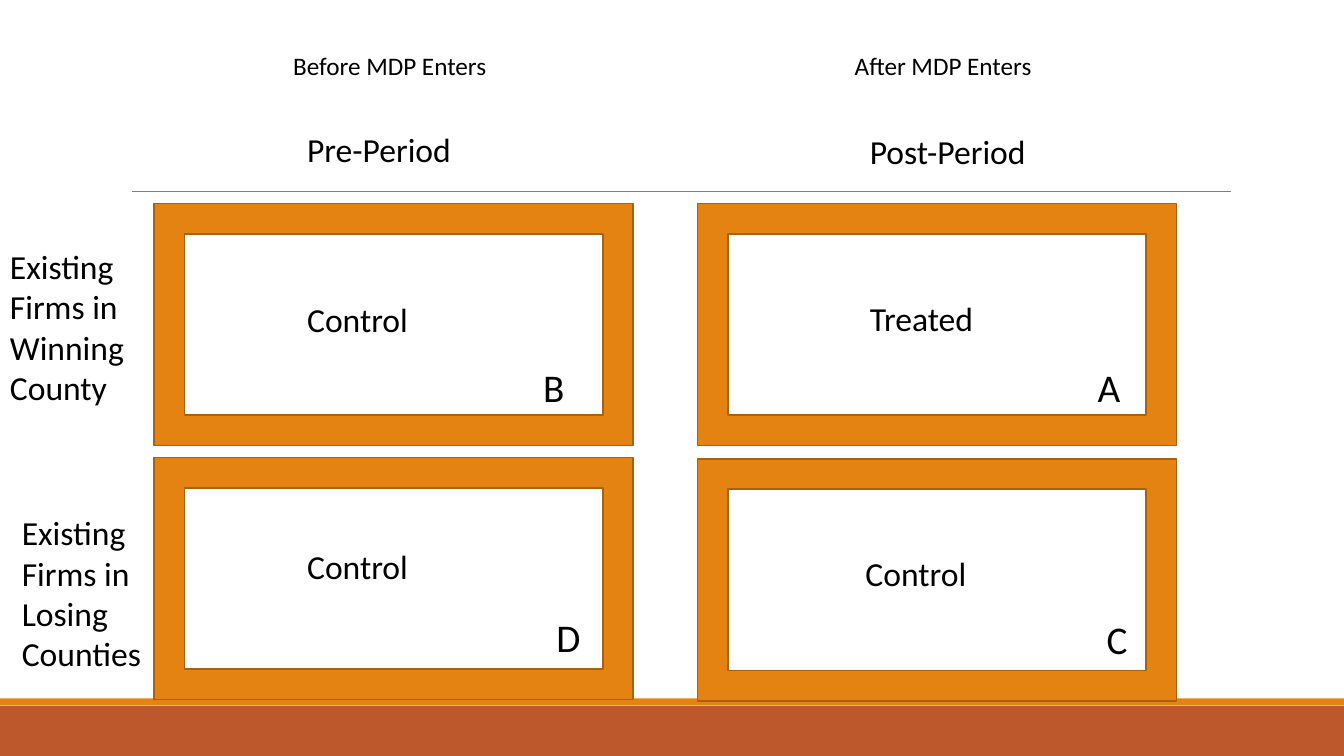
from typing import NamedTuple

from lxml import etree
from pptx import Presentation
from pptx.dml.color import RGBColor
from pptx.enum.shapes import MSO_CONNECTOR, MSO_SHAPE
from pptx.enum.text import MSO_ANCHOR, MSO_AUTO_SIZE
from pptx.oxml.ns import qn
from pptx.util import Cm, Pt

RECTANGLE = MSO_SHAPE.RECTANGLE
FRAME = MSO_SHAPE.FRAME
STRAIGHT = MSO_CONNECTOR.STRAIGHT
TOP = MSO_ANCHOR.TOP
FIT_SHAPE = MSO_AUTO_SIZE.SHAPE_TO_FIT_TEXT

FONT = "Calibri"
BLACK = "000000"
ORANGE = "E48312"
DARK_ORANGE = "A9610D"
RUST = "BD582C"
GRAY = "808080"

SLIDE_WIDTH, SLIDE_HEIGHT = 33.87, 19.05
FRAME_WIDTH, FRAME_HEIGHT = 12.07, 6.1


class Box(NamedTuple):
    """Left, top, width and height in centimetres."""
    left: float
    top: float
    width: float
    height: float


class Label(NamedTuple):
    text: str
    box: Box
    size: int = 24


FOOTER_BARS = [
    (Box(0, 17.78, SLIDE_WIDTH, 1.27), RUST),
    (Box(0, 17.6, SLIDE_WIDTH, 0.17), ORANGE),
]

FRAME_CORNERS = [(3.89, 5.13), (17.58, 5.13), (3.89, 11.53), (17.58, 11.56)]

LABELS = [
    Label("Before MDP Enters", Box(7.14, 1.14, 7.06, 1.02), 18),
    Label("After MDP Enters", Box(21.29, 1.14, 7.62, 1.02), 18),
    Label("Pre-Period", Box(7.49, 3.12, 10.85, 1.27)),
    Label("Post-Period", Box(21.67, 3.18, 9.32, 2.06)),
    Label("Existing Firms in Winning County", Box(0, 6.07, 3.61, 4.37)),
    Label("Existing Firms in Losing Counties", Box(0.3, 12.78, 3.58, 4.37)),
    Label("Control", Box(7.49, 7.42, 3.89, 1.27)),
    Label("Treated", Box(21.67, 7.39, 5.74, 1.27)),
    Label("Control", Box(7.49, 13.64, 3.89, 1.27)),
    Label("Control", Box(21.56, 13.82, 4.04, 1.27)),
    Label("B", Box(13.44, 9.02, 1.96, 1.45), 28),
    Label("A", Box(27.41, 9.04, 1.96, 1.45), 28),
    Label("D", Box(13.77, 15.32, 1.96, 1.45), 28),
    Label("C", Box(27.64, 15.39, 1.96, 1.45), 28),
]


def color(hex_value: str) -> RGBColor:
    return RGBColor.from_string(hex_value)


def add_filled_shape(slide, kind, box: Box, fill: str, line: str | None = None) -> None:
    shape = slide.shapes.add_shape(kind, *map(Cm, box))
    shape.shadow.inherit = False
    shape.fill.solid()
    shape.fill.fore_color.rgb = color(fill)
    if line is None:
        shape.line.fill.background()
    else:
        shape.line.color.rgb = color(line)
        shape.line.width = Pt(1.25)


def add_rule(slide, left: float, right: float, top: float) -> None:
    """Draw the thin horizontal line below the period headings."""
    rule = slide.shapes.add_connector(STRAIGHT, Cm(left), Cm(top), Cm(right), Cm(top))
    rule.line.color.rgb = color(GRAY)
    rule.line.width = Pt(0.5)
    etree.SubElement(rule._element.spPr, qn("a:effectLst"))


def add_text(slide, text: str, box: Box, *, size: int, font_color: str = BLACK) -> None:
    text_frame = slide.shapes.add_textbox(*map(Cm, box)).text_frame
    text_frame.word_wrap = True
    text_frame.auto_size = FIT_SHAPE
    text_frame.vertical_anchor = TOP
    paragraph = text_frame.paragraphs[0]
    run = paragraph.add_run()
    run.text = text
    run.font.name = FONT
    run.font.size = Pt(size)
    run.font.color.rgb = color(font_color)


def main() -> None:
    presentation = Presentation()
    presentation.slide_width = Cm(SLIDE_WIDTH)
    presentation.slide_height = Cm(SLIDE_HEIGHT)
    blank_layout = presentation.slide_layouts[6]
    slide = presentation.slides.add_slide(blank_layout)

    for box, fill in FOOTER_BARS:
        add_filled_shape(slide, RECTANGLE, box, fill)
    add_rule(slide, left=3.33, right=31.01, top=4.83)
    for left, top in FRAME_CORNERS:
        box = Box(left, top, FRAME_WIDTH, FRAME_HEIGHT)
        add_filled_shape(slide, FRAME, box, ORANGE, DARK_ORANGE)
    for label in LABELS:
        add_text(slide, label.text, label.box, size=label.size)

    presentation.save("out.pptx")


if __name__ == "__main__":
    main()
